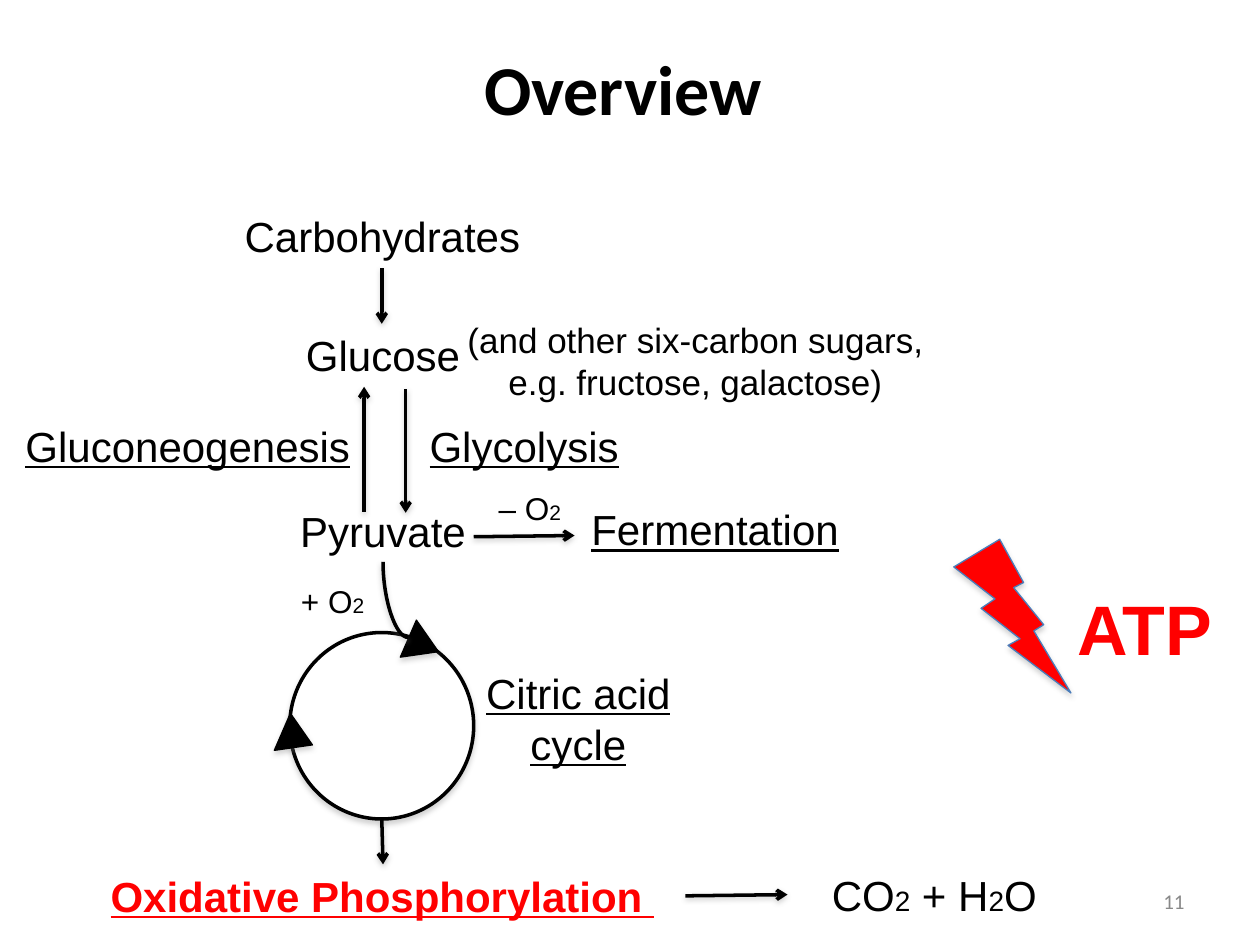
from lxml import etree
from pptx import Presentation, util as u
from pptx.dml.color import RGBColor
from pptx.enum import shapes, text
from pptx.oxml.ns import qn

WIDTH, HEIGHT = u.Inches(10), u.Inches(7.5)
COLS, ROWS = 100, 75
COLORS = {"ink": "000000", "accent": "FF0000", "paper": "FFFFFF",
          "bolt_edge": "4A7EBB", "muted": "898989", "shadow": "808080"}
ALIGN = {"l": text.PP_ALIGN.LEFT, "c": text.PP_ALIGN.CENTER, "r": text.PP_ALIGN.RIGHT}
STEP = {"size": 24}
PATHWAY = {"size": 24, "underline": True}
OXYGEN = {"size": 18}


def col(n):
    return int(WIDTH * n / COLS)


def row(n):
    return int(HEIGHT * n / ROWS)


def box(left, top, width, height):
    return col(left), row(top), col(width), row(height)


def rgb(name):
    return RGBColor.from_string(COLORS[name])


def add_label(s, area, runs, fmt, color="ink", align="c", name="Arial", wrap=True):
    """Add one paragraph; runs is a string or (string, size) pairs."""
    tf = s.shapes.add_textbox(*box(*area)).text_frame
    tf.word_wrap = wrap
    p = tf.paragraphs[0]
    p.alignment = ALIGN[align]
    if isinstance(runs, str):
        runs = [(runs, fmt["size"])]
    for words, size in runs:
        r = p.add_run()
        r.text = words
        for key, value in {**fmt, "size": u.Pt(size), "name": name}.items():
            setattr(r.font, key, value)
        r.font.color.rgb = rgb(color)
    return tf


def add_shadow(sp, alpha, distance):
    """Put a soft downward shadow on a shape or connector."""
    pr = sp._element.spPr
    effects = pr.find(qn("a:effectLst"))
    if effects is None:
        effects = etree.SubElement(pr, qn("a:effectLst"))
    shadow = etree.SubElement(effects, qn("a:outerShdw"), blurRad=str(u.Pt(3.1)),
                              dist=str(u.Pt(distance)), dir="5400000", rotWithShape="0")
    tint = etree.SubElement(shadow, qn("a:srgbClr"), val=COLORS["shadow"])
    etree.SubElement(tint, qn("a:alpha"), val=str(alpha * 1000))


def add_figure(s, kind, area, fill, edge="ink", weight=0.75, rotation=0):
    sp = s.shapes.add_shape(kind, *box(*area))
    sp.rotation = rotation
    sp.fill.solid()
    sp.fill.fore_color.rgb = rgb(fill)
    sp.line.color.rgb = rgb(edge)
    sp.line.width = u.Pt(weight)
    sp.shadow.inherit = False
    add_shadow(sp, 35, 1.8)


def add_line(s, start, end, kind=shapes.MSO_CONNECTOR.STRAIGHT, head=True):
    line = s.shapes.add_connector(kind, col(start[0]), row(start[1]), col(end[0]), row(end[1]))
    line.line.color.rgb = rgb("ink")
    line.line.width = u.Pt(2)
    if head:
        etree.SubElement(line.line._get_or_add_ln(), qn("a:tailEnd"), type="arrow")
    add_shadow(line, 38, 1.6)
    return line


def add_inflow_curve(s):
    """Draw the quarter bend from pyruvate into the cycle."""
    curve = add_line(s, (34.4, 46.6), (28.4, 48.6), shapes.MSO_CONNECTOR.CURVE, head=False)
    pr = curve._element.spPr
    pr.find(qn("a:prstGeom")).set("prst", "curvedConnector2")
    pr.find(qn("a:xfrm")).set("rot", str(270 * 60000))


def add_steps(s):
    add_label(s, (22.7, 25.7, 15.4, 5), "Glucose", STEP)
    add_label(s, (18.3, 16.2, 24.1, 5.1), "Carbohydrates ", STEP, wrap=False)
    add_label(s, (34.7, 24.8, 41, 7.8),
              "(and other six-carbon sugars, e.g. fructose, galactose)", {"size": 20})
    add_label(s, (22.7, 39.6, 15.4, 5), "Pyruvate", STEP)
    add_label(s, (62.5, 68.5, 23.3, 5),
              [("CO", 24), ("2", 16), (" + H", 24), ("2", 16), ("O", 24)], STEP)


def add_pathways(s):
    for words, area in (("Glycolysis", (31.1, 32.9, 21, 5.1)),
                        ("Gluconeogenesis", (0, 32.9, 29.8, 5.1)),
                        ("Citric acid cycle", (35.4, 52.5, 21, 9.1)),
                        ("Fermentation", (43.7, 39.5, 26.1, 5.1))):
        add_label(s, area, words, PATHWAY)
    add_label(s, (6.3, 68.6, 48.1, 5.1), "Oxidative Phosphorylation ",
              {**PATHWAY, "bold": True}, "accent")
    for sign, area in (("–", (38.6, 38.3, 7, 4)), ("+", (22.9, 45.7, 7.1, 4))):
        add_label(s, area, [(sign + " O", 18), ("2", 12)], OXYGEN, align="l", wrap=False)


def add_arrows(s):
    for start, end in (((30.3, 21.3), (30.3, 25.7)),
                       ((32.2, 30.9), (32.2, 40.7)),
                       ((28.9, 40.6), (28.9, 30.7)),
                       ((30.3, 65), (30.4, 68.6)),
                       ((54.4, 71.1), (62.5, 71)),
                       ((37.6, 42.6), (45.6, 42.5))):
        add_line(s, start, end)


def add_cycle(s):
    kind = shapes.MSO_SHAPE
    add_figure(s, kind.OVAL, (23, 50.2, 14.6, 14.8), "paper", weight=2)
    for left, top in ((32, 49.9), (22, 57.3)):
        add_figure(s, kind.ISOSCELES_TRIANGLE, (left, top, 3.2, 2.6), "ink", rotation=113.5)
    add_inflow_curve(s)


def add_energy(s):
    add_figure(s, shapes.MSO_SHAPE.LIGHTNING_BOLT, (75.7, 42.8, 9.3, 12.2),
               "accent", "bolt_edge")
    add_label(s, (84.5, 46, 12.8, 7.7), "ATP", {"size": 40, "bold": True},
              "accent", "l", wrap=False)


def main():
    prs = Presentation()
    prs.slide_width, prs.slide_height = WIDTH, HEIGHT
    s = prs.slides.add_slide(prs.slide_layouts[6])
    add_label(s, (9.1, 3.1, 80.7, 7.7), "Overview", {"size": 40, "bold": True}, name="Calibri")
    add_steps(s)
    add_cycle(s)
    add_arrows(s)
    add_pathways(s)
    add_energy(s)
    number = add_label(s, (71.7, 69.5, 23.3, 4), "11", {"size": 12}, "muted", "r", "Calibri")
    number.vertical_anchor = text.MSO_ANCHOR.MIDDLE
    prs.save("out.pptx")


if __name__ == "__main__":
    main()
